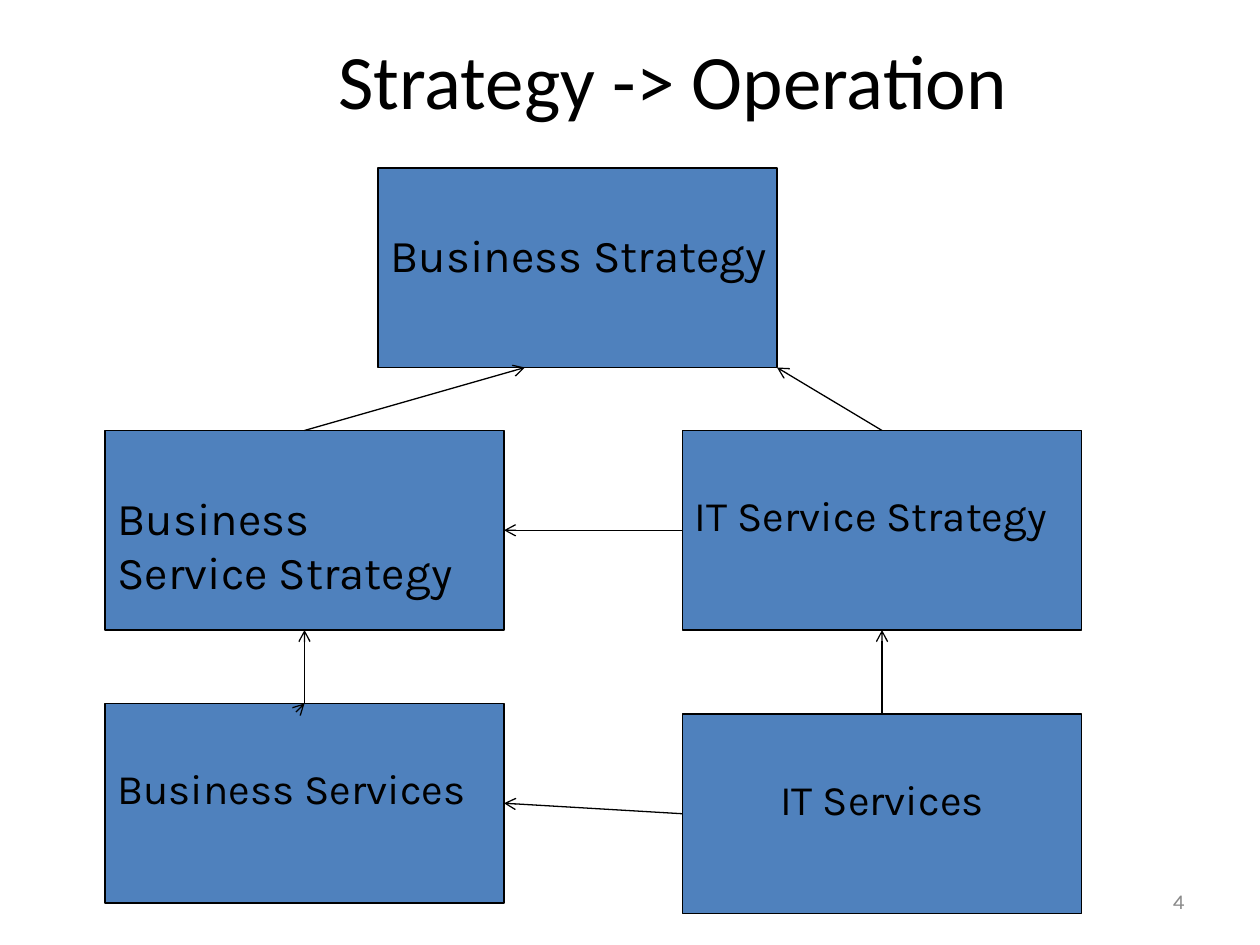
from lxml.etree import SubElement
from pptx import Presentation
from pptx.dml.color import RGBColor
from pptx.enum.shapes import MSO_CONNECTOR, MSO_SHAPE
from pptx.enum.text import MSO_ANCHOR, PP_ALIGN
from pptx.oxml.ns import qn
from pptx.util import Pt

BLUE = RGBColor(0x4F, 0x81, 0xBD)
BLACK = RGBColor(0, 0, 0)
GRAY = RGBColor(0x89, 0x89, 0x89)
BOX_W, BOX_H = 228, 114
LEFT, RIGHT = 60, 390
TOP, BOTTOM_SIDE, LEFT_SIDE, RIGHT_SIDE = range(4)


def write(tf, text, size, font, color, align):
    tf.text = text
    tf.word_wrap = True
    for p in tf.paragraphs:
        p.alignment = align
        for r in p.runs:
            r.font.size = Pt(size)
            r.font.name = font
            r.font.color.rgb = color


def add_text(s, box, text, size, font, color, align, inset):
    tf = s.shapes.add_textbox(*map(Pt, box)).text_frame
    tf.margin_left = tf.margin_right = Pt(inset)
    tf.vertical_anchor = MSO_ANCHOR.MIDDLE
    write(tf, text, size, font, color, align)


def add_box(s, x, y, text, size=24, align=PP_ALIGN.LEFT):
    sp = s.shapes.add_shape(MSO_SHAPE.RECTANGLE, Pt(x), Pt(y), Pt(BOX_W), Pt(BOX_H))
    sp.shadow.inherit = False
    sp.fill.solid()
    sp.fill.fore_color.rgb = BLUE
    sp.line.color.rgb = BLACK
    sp.line.width = Pt(0.75)
    tf = sp.text_frame
    tf.vertical_anchor = MSO_ANCHOR.TOP
    tf.margin_top = Pt(34)
    tf.margin_left = Pt(7.2)
    tf.margin_right = Pt(7.2 if align == PP_ALIGN.CENTER else 0)
    write(tf, text, size, "Karla", BLACK, align)
    return sp


def add_arrow(s, start=None, end=None, begin_xy=(0, 0), end_xy=(0, 0)):
    c = s.shapes.add_connector(MSO_CONNECTOR.STRAIGHT, *map(Pt, (*begin_xy, *end_xy)))
    if start:
        c.begin_connect(*start)
    if end:
        c.end_connect(*end)
    c.line.color.rgb = BLACK
    c.line.width = Pt(0.75)
    SubElement(c.line._get_or_add_ln(), qn("a:tailEnd"), type="arrow")
    SubElement(c._element.spPr, qn("a:effectLst"))


def add_diagram(s, x, y):
    left, right = x + LEFT, x + RIGHT
    service_strategy = add_box(s, left, y + 150, "Business\nService Strategy", 26)
    it_strategy = add_box(s, right, y + 150, "IT Service Strategy")
    services = add_box(s, left, y + 306, "Business Services")
    it_services = add_box(s, right, y + 312, "IT Services", align=PP_ALIGN.CENTER)
    add_box(s, x + 216, y, "Business Strategy", 26)

    add_arrow(s, (service_strategy, TOP), end_xy=(x + 300, y + BOX_H))
    add_arrow(s, (it_strategy, TOP), end_xy=(x + 216 + BOX_W, y + BOX_H))
    mid = left + BOX_W / 2
    add_arrow(s, end=(services, TOP), begin_xy=(mid - 0.5, y + 306.5))
    add_arrow(s, (services, TOP), (service_strategy, BOTTOM_SIDE + 1))
    add_arrow(s, (it_services, TOP), (it_strategy, BOTTOM_SIDE + 1))
    add_arrow(s, (it_strategy, 1), (service_strategy, 3))
    add_arrow(s, (it_services, 1), (services, 3))


def main():
    prs = Presentation()
    prs.slide_width, prs.slide_height = Pt(720), Pt(540)
    s = prs.slides.add_slide(prs.slide_layouts[6])
    add_diagram(s, 0, 96)
    add_text(s, (78, 0, 613, 90), "Strategy -> Operation", 44, "Calibri", BLACK,
             PP_ALIGN.CENTER, 0)
    add_text(s, (516, 500.5, 168, 28.75), "4", 12, "Karla", GRAY, PP_ALIGN.RIGHT, 7.2)
    prs.save("out.pptx")


if __name__ == "__main__":
    main()
